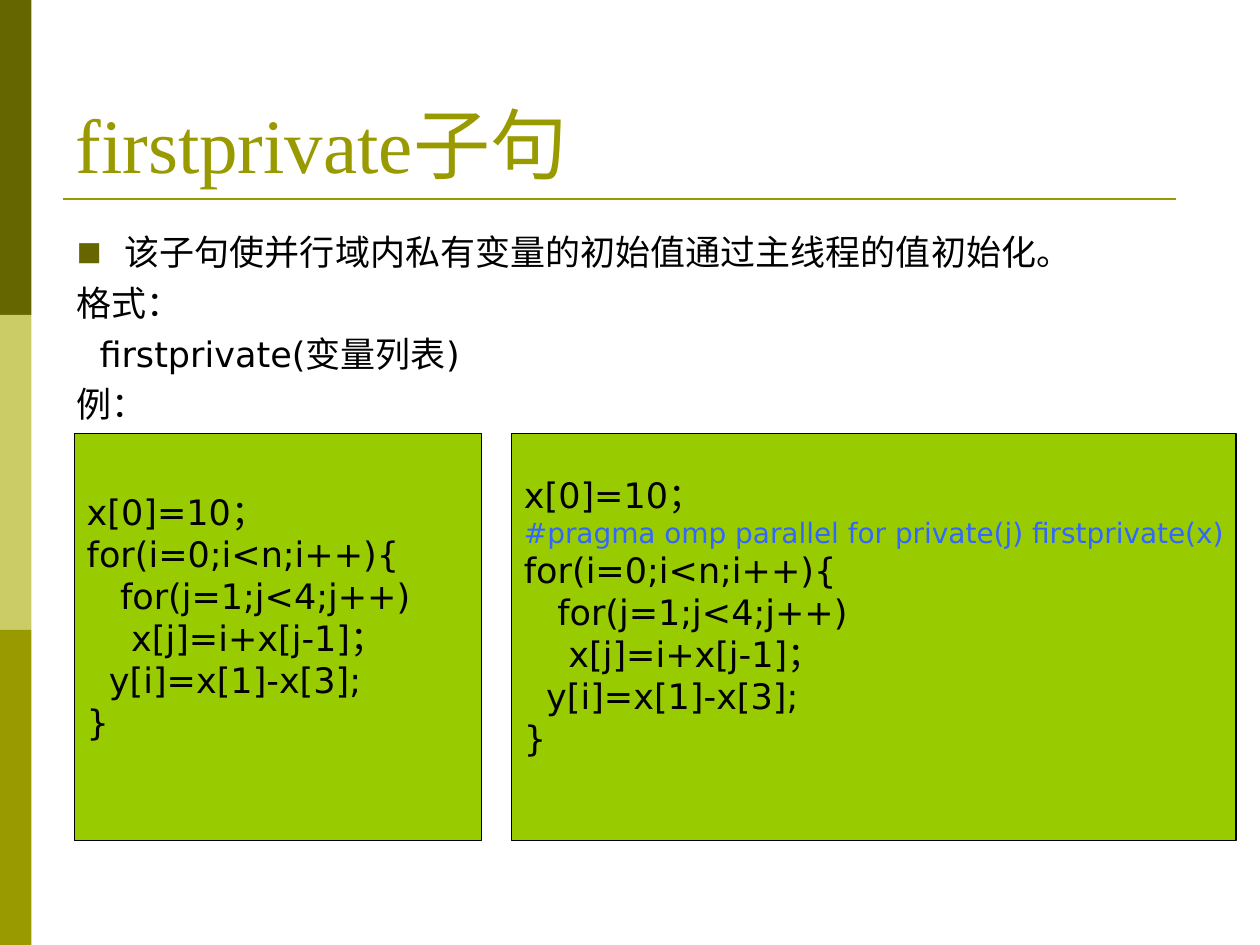
from lxml.etree import SubElement
from pptx import Presentation
from pptx.dml.color import RGBColor
from pptx.enum.shapes import MSO_CONNECTOR, MSO_SHAPE
from pptx.enum.text import MSO_ANCHOR, MSO_AUTO_SIZE, PP_ALIGN
from pptx.oxml.ns import qn
from pptx.util import Inches, Pt

SANS = "DejaVu Sans"
SERIF = "Times New Roman"
OLIVE = "999900"
DARK = "666600"
BLACK = "000000"

HEAD = "x[0]=10；"
PRAGMA = "#pragma omp parallel for private(j) firstprivate(x)"
LOOP = [
    "for(i=0;i<n;i++){",
    "   for(j=1;j<4;j++)",
    "    x[j]=i+x[j-1]；",
    "  y[i]=x[1]-x[3];",
    "}",
]


def color(code):
    return RGBColor.from_string(code)


def place(shape, left, top, width, height):
    shape.left, shape.top = Inches(left), Inches(top)
    shape.width, shape.height = Inches(width), Inches(height)


def set_bullet(para, char):
    props = para._p.get_or_add_pPr()
    if not char:
        SubElement(props, qn("a:buNone"))
        return
    tint = SubElement(props, qn("a:buClr"))
    SubElement(tint, qn("a:srgbClr"), val=DARK)
    SubElement(props, qn("a:buSzPct"), val="75000")
    SubElement(props, qn("a:buFont"), typeface=SANS)
    SubElement(props, qn("a:buChar"), char=char)


def add_text(frame, text, first=False, size=20, font=SANS, ink=BLACK,
             before=0, bullet=None, left=0, hang=0):
    para = frame.paragraphs[0] if first else frame.add_paragraph()
    para.alignment = PP_ALIGN.LEFT
    set_bullet(para, bullet)
    para.space_before = Pt(before)
    props = para._p.get_or_add_pPr()
    props.set("marL", str(Inches(left)))
    props.set("indent", str(Inches(-hang)))
    run = para.add_run()
    run.text = text
    run.font.size, run.font.name = Pt(size), font
    run.font.color.rgb = color(ink)


def add_box(slide, left, top, width, height, fill, line=None):
    box = slide.shapes.add_shape(MSO_SHAPE.RECTANGLE, 0, 0, 0, 0)
    place(box, left, top, width, height)
    box.shadow.inherit = False
    box.fill.solid()
    box.fill.fore_color.rgb = color(fill)
    if line:
        box.line.color.rgb = color(line)
        box.line.width = Pt(0.75)
    else:
        box.line.fill.background()
    return box


def add_rule(slide, left, right, top):
    rule = slide.shapes.add_connector(
        MSO_CONNECTOR.STRAIGHT, Inches(left), Inches(top), Inches(right), Inches(top))
    rule.line.color.rgb = color(OLIVE)
    rule.line.width = Pt(1.5)
    SubElement(rule._element.spPr, qn("a:effectLst"))


def add_code(slide, left, width, lines):
    frame = add_box(slide, left, 3.44, width, 3.23, "99CC00", BLACK).text_frame
    frame.word_wrap = True
    frame.vertical_anchor = MSO_ANCHOR.MIDDLE
    frame.margin_left, frame.margin_right = Inches(0.1), 0
    # The deeper foot lifts the code by half a line
    frame.margin_top, frame.margin_bottom = Inches(0.05), Inches(0.38)
    for pos, line in enumerate(lines):
        style = {"size": 16, "ink": "3366FF"} if line == PRAGMA else {}
        add_text(frame, line, first=pos == 0, **style)


def fill_title(slide):
    title = slide.shapes.title
    place(title, 0.5, 0.3, 9, 1.25)
    frame = title.text_frame
    frame.auto_size = MSO_AUTO_SIZE.NONE
    frame.vertical_anchor = MSO_ANCHOR.BOTTOM
    add_text(frame, "firstprivate子句", first=True, size=44, font=SERIF, ink=OLIVE)


def fill_body(slide):
    body = slide.placeholders[1]
    place(body, 0.51, 1.78, 9, 4.96)
    frame = body.text_frame
    frame.auto_size = MSO_AUTO_SIZE.NONE
    add_text(frame, "该子句使并行域内私有变量的初始值通过主线程的值初始化。",
             first=True, bullet="■", left=0.38, hang=0.38)
    add_text(frame, "格式：", before=5)
    add_text(frame, "firstprivate(变量列表)", before=5, left=0.18)
    add_text(frame, "例：", before=5)


def main():
    deck = Presentation()
    deck.slide_width, deck.slide_height = Inches(10), Inches(7.5)
    slide = deck.slides.add_slide(deck.slide_layouts[1])

    # Side bands and title rule
    for pos, fill in enumerate([DARK, "CCCC66", OLIVE]):
        add_box(slide, 0, 2.5 * pos, 0.25, 2.5, fill)
    add_rule(slide, 0.5, 9.33, 1.58)

    # Title and list
    fill_title(slide)
    fill_body(slide)

    # Serial code beside parallel code
    add_code(slide, 0.59, 3.23, [HEAD, *LOOP])
    add_code(slide, 4.06, 5.75, [HEAD, PRAGMA, *LOOP])

    deck.save("out.pptx")


if __name__ == "__main__":
    main()
